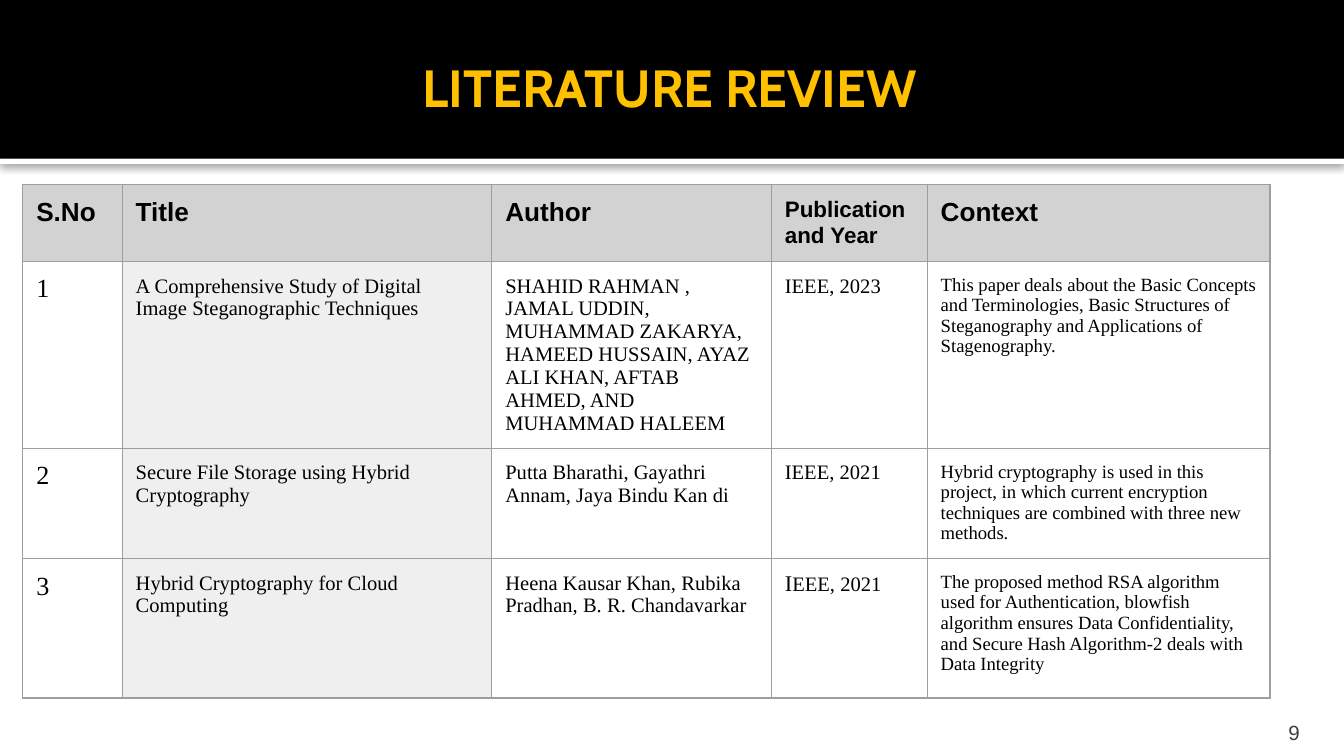
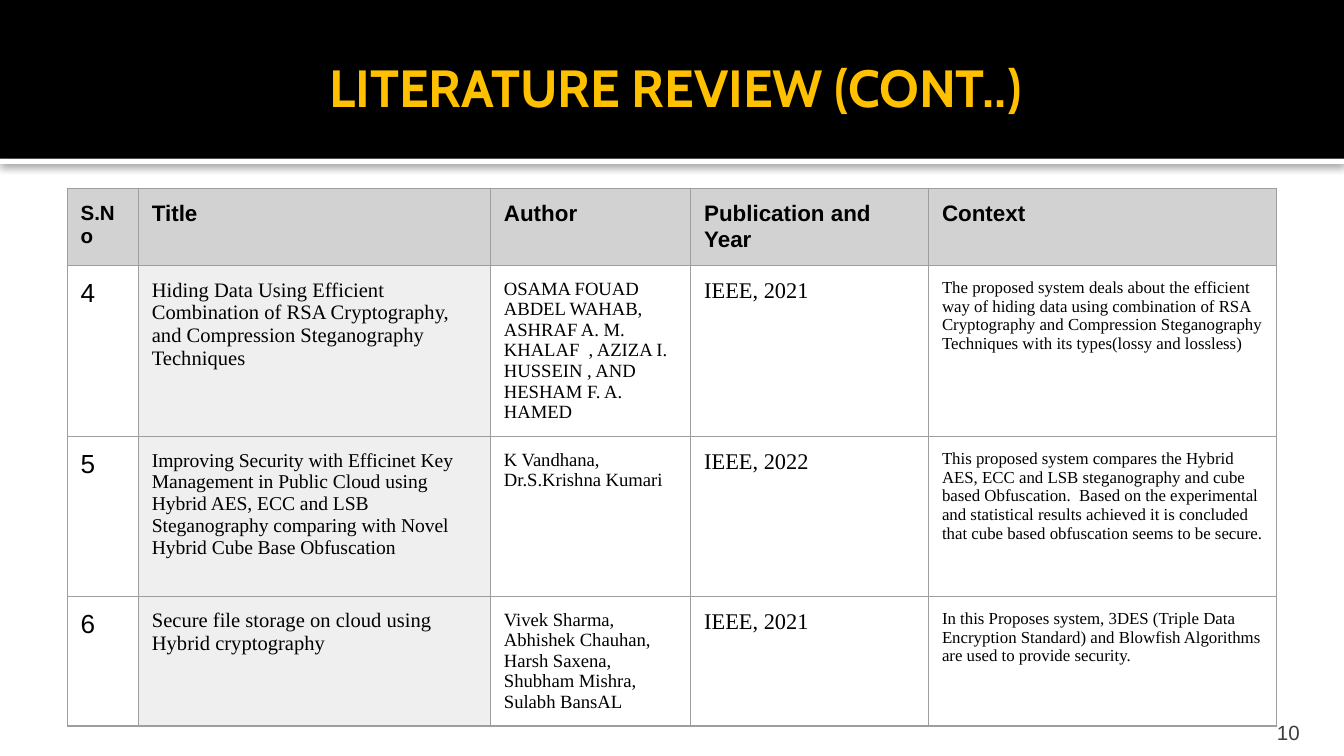
from dataclasses import dataclass
from typing import NamedTuple, Optional, Union

from lxml import etree
from pptx import Presentation
from pptx.dml.color import RGBColor
from pptx.enum import shapes, text
from pptx.oxml import parse_xml
from pptx.oxml.ns import nsdecls, qn
from pptx.util import Inches, Pt

# Slide size (16:9)
SLIDE_WIDTH = Inches(10)
SLIDE_HEIGHT = SLIDE_WIDTH * 9 // 16

# Colours and fonts
BLACK = RGBColor(0x00, 0x00, 0x00)
WHITE = RGBColor(0xFF, 0xFF, 0xFF)
GOLD = RGBColor(0xFF, 0xC0, 0x00)
DARK_GREY = RGBColor(0x3F, 0x3F, 0x3F)
HEADING_FILL = RGBColor(0xD2, 0xD2, 0xD2)
TITLE_FILL = RGBColor(0xEF, 0xEF, 0xEF)
BORDER = RGBColor(0x9E, 0x9E, 0x9E)
SANS, SERIF, DISPLAY = "Arial", "Times New Roman", "Cabin"

CELL_MARGIN = Inches(0.1)
BORDER_WIDTH = Pt(0.75)


class Span(NamedTuple):
    """Cell text whose size differs from its column."""
    text: str
    size: float


Cell = Union[str, list[Span]]


@dataclass(frozen=True)
class Column:
    heading: str
    width: float
    heading_size: float
    body_size: float
    font: str = SERIF
    fill: Optional[RGBColor] = None


@dataclass(frozen=True)
class ReviewSlide:
    title: str
    number: int
    left: float
    top: float
    columns: list[Column]
    row_heights: list[float]
    papers: list[list[Cell]]


REVIEWS = [
    ReviewSlide(
        title="LITERATURE REVIEW ", number=9, left=0.17, top=1.37,
        columns=[
            Column("S.No", 0.74, 14, 14),
            Column("Title", 2.75, 14, 11, fill=TITLE_FILL),
            Column("Author", 2.08, 14, 11),
            Column("Publication and Year", 1.16, 12, 11),
            Column("Context", 2.55, 14, 10),
        ],
        row_heights=[0.56, 1.38, 0.82, 1.04],
        papers=[
            ["1", "A Comprehensive Study of Digital Image Steganographic Techniques",
             "SHAHID RAHMAN , JAMAL UDDIN, MUHAMMAD ZAKARYA, HAMEED HUSSAIN, "
             "AYAZ ALI KHAN, AFTAB AHMED, AND MUHAMMAD HALEEM",
             "IEEE, 2023",
             "This paper deals about the Basic Concepts and Terminologies, Basic "
             "Structures of Steganography and Applications of Stagenography."],
            ["2", "Secure File Storage using Hybrid Cryptography",
             "Putta Bharathi, Gayathri Annam, Jaya Bindu Kan di",
             "IEEE, 2021",
             "Hybrid cryptography is used in this project, in which current "
             "encryption techniques are combined with three new methods."],
            ["3", "Hybrid Cryptography for Cloud Computing",
             "Heena Kausar Khan, Rubika Pradhan, B. R. Chandavarkar",
             [Span("I", 12), Span("EEE, 2021", 11)],
             "The proposed method RSA algorithm used for Authentication, blowfish "
             "algorithm ensures Data Confidentiality, and Secure Hash Algorithm-2 "
             "deals with Data Integrity"],
        ],
    ),
    ReviewSlide(
        title="LITERATURE REVIEW (CONT..)", number=10, left=0.5, top=1.4,
        columns=[
            Column("S.No", 0.53, 11, 14, font=SANS),
            Column("Title", 2.62, 12, 11, fill=TITLE_FILL),
            Column("Author", 1.49, 12, 10),
            Column("Publication and Year", 1.77, 12, 12),
            Column("Context", 2.59, 12, 9),
        ],
        row_heights=[0.52, 1.05, 1.19, 0.85],
        papers=[
            ["4", "Hiding Data Using Efficient Combination of RSA Cryptography, "
             "and Compression Steganography Techniques",
             "OSAMA FOUAD ABDEL WAHAB, ASHRAF A. M. KHALAF  , AZIZA I. HUSSEIN , "
             "AND HESHAM F. A. HAMED",
             "IEEE, 2021",
             "The proposed system deals about the efficient way of hiding data using "
             "combination of RSA Cryptography and Compression Steganography "
             "Techniques with its types(lossy and lossless)"],
            ["5", [Span("Improving Security with Efficinet Key Management in Public "
                        "Cloud using Hybrid AES, ECC and LSB Steganography comparing "
                        "with Novel Hybrid Cube Base Obfuscation", 10.5)],
             "K Vandhana, Dr.S.Krishna Kumari",
             "IEEE, 2022",
             "This proposed system compares the Hybrid AES, ECC and LSB steganography "
             "and cube based Obfuscation.  Based on the experimental and statistical "
             "results achieved it is concluded that cube based obfuscation seems to "
             "be secure."],
            ["6", "Secure file storage on cloud using Hybrid cryptography",
             "Vivek Sharma, Abhishek Chauhan, Harsh Saxena, Shubham Mishra, "
             "Sulabh BansAL",
             "IEEE, 2021",
             "In this Proposes system, 3DES (Triple Data Encryption Standard) and "
             "Blowfish Algorithms are used to provide security."],
        ],
    ),
]


def add_text(paragraph, content: str, *, size: float, font: str,
             color: RGBColor = BLACK, bold: bool = False) -> None:
    run = paragraph.add_run()
    run.text = content
    run.font.size = Pt(size)
    run.font.name = font
    run.font.color.rgb = color
    run.font.bold = bold


def set_frame(frame, anchor, left: float, top: float, right: float, bottom: float) -> None:
    frame.word_wrap = True
    frame.auto_size = text.MSO_AUTO_SIZE.NONE
    frame.vertical_anchor = anchor
    frame.margin_left, frame.margin_top = Inches(left), Inches(top)
    frame.margin_right, frame.margin_bottom = Inches(right), Inches(bottom)


# Shared layout: header band, white rule with shadow, title position
def add_band(slide, top: float, height: float, color: RGBColor):
    band = slide.shapes.add_shape(shapes.MSO_SHAPE.RECTANGLE, Inches(0), Inches(top),
                                  SLIDE_WIDTH, Inches(height))
    band.shadow.inherit = False
    band.fill.solid()
    band.fill.fore_color.rgb = color
    band.line.fill.background()
    return band


def add_shadow(shape) -> None:
    effects = shape.element.spPr.find(qn("a:effectLst"))
    effects.append(parse_xml(
        f'<a:outerShdw {nsdecls("a")} blurRad="{Pt(5)}" dist="{Pt(0.8)}" dir="5400000" '
        f'algn="ctr" rotWithShape="0"><a:srgbClr val="{BLACK}"><a:alpha val="60000"/>'
        '</a:srgbClr></a:outerShdw>'))


def prepare_layout(layout, slide) -> None:
    rule = add_band(slide, 1.18, 0.04, WHITE)
    add_shadow(rule)
    header = add_band(slide, 0, 1.18, BLACK)
    for position, band in enumerate((rule, header), start=2):
        layout.shapes.element.insert(position, band.element)
    title = layout.placeholders[0]
    title.left, title.top = Inches(0.5), Inches(0.13)
    title.width, title.height = Inches(9), Inches(1.03)


def add_title(slide, title: str) -> None:
    frame = slide.shapes.title.text_frame
    set_frame(frame, text.MSO_ANCHOR.MIDDLE, 0.1, 0.05, 0.05, 0.05)
    paragraph = frame.paragraphs[0]
    paragraph.alignment = text.PP_ALIGN.CENTER
    add_text(paragraph, title, size=28, font=DISPLAY, color=GOLD, bold=True)


def add_slide_number(slide, number: int) -> None:
    box = slide.shapes.add_textbox(Inches(8.97), Inches(5.31), Inches(0.8), Inches(0.23))
    set_frame(box.text_frame, text.MSO_ANCHOR.BOTTOM, 0.1, 0.05, 0.1, 0)
    paragraph = box.text_frame.paragraphs[0]
    paragraph.alignment = text.PP_ALIGN.RIGHT
    paragraph.line_spacing = 0.9
    add_text(paragraph, str(number), size=11, font=SANS, color=DARK_GREY)


# Review table
def add_borders(cell) -> None:
    properties = cell._tc.get_or_add_tcPr()
    for side in ("a:lnL", "a:lnR", "a:lnT", "a:lnB"):
        line = etree.SubElement(properties, qn(side), w=str(BORDER_WIDTH))
        fill = etree.SubElement(line, qn("a:solidFill"))
        etree.SubElement(fill, qn("a:srgbClr"), val=str(BORDER))


def fill_cell(cell, spans: list[Span], font: str, fill: Optional[RGBColor],
              bold: bool = False) -> None:
    cell.margin_left = cell.margin_right = CELL_MARGIN
    cell.margin_top = cell.margin_bottom = CELL_MARGIN
    add_borders(cell)
    if fill is None:
        cell.fill.background()
    else:
        cell.fill.solid()
        cell.fill.fore_color.rgb = fill
    for span in spans:
        add_text(cell.text_frame.paragraphs[0], span.text, size=span.size,
                 font=font, bold=bold)


def add_review_table(slide, review: ReviewSlide) -> None:
    columns, heights = review.columns, review.row_heights
    table = slide.shapes.add_table(
        len(heights), len(columns), Inches(review.left), Inches(review.top),
        Inches(sum(column.width for column in columns)), Inches(sum(heights))).table
    table.first_row = table.horz_banding = False
    for row, height in zip(table.rows, heights):
        row.height = Inches(height)
    for index, column in enumerate(columns):
        table.columns[index].width = Inches(column.width)
        fill_cell(table.cell(0, index), [Span(column.heading, column.heading_size)],
                  SANS, HEADING_FILL, bold=True)
        for row_index, paper in enumerate(review.papers, start=1):
            content = paper[index]
            spans = [Span(content, column.body_size)] if isinstance(content, str) else content
            fill_cell(table.cell(row_index, index), spans, column.font, column.fill)


def main() -> None:
    presentation = Presentation()
    presentation.slide_width, presentation.slide_height = SLIDE_WIDTH, SLIDE_HEIGHT
    layout = presentation.slide_layouts.get_by_name("Title Only")
    slides = [presentation.slides.add_slide(layout) for _ in REVIEWS]
    prepare_layout(layout, slides[0])
    for slide, review in zip(slides, REVIEWS):
        add_title(slide, review.title)
        add_slide_number(slide, review.number)
        add_review_table(slide, review)
    presentation.save("out.pptx")


if __name__ == "__main__":
    main()
